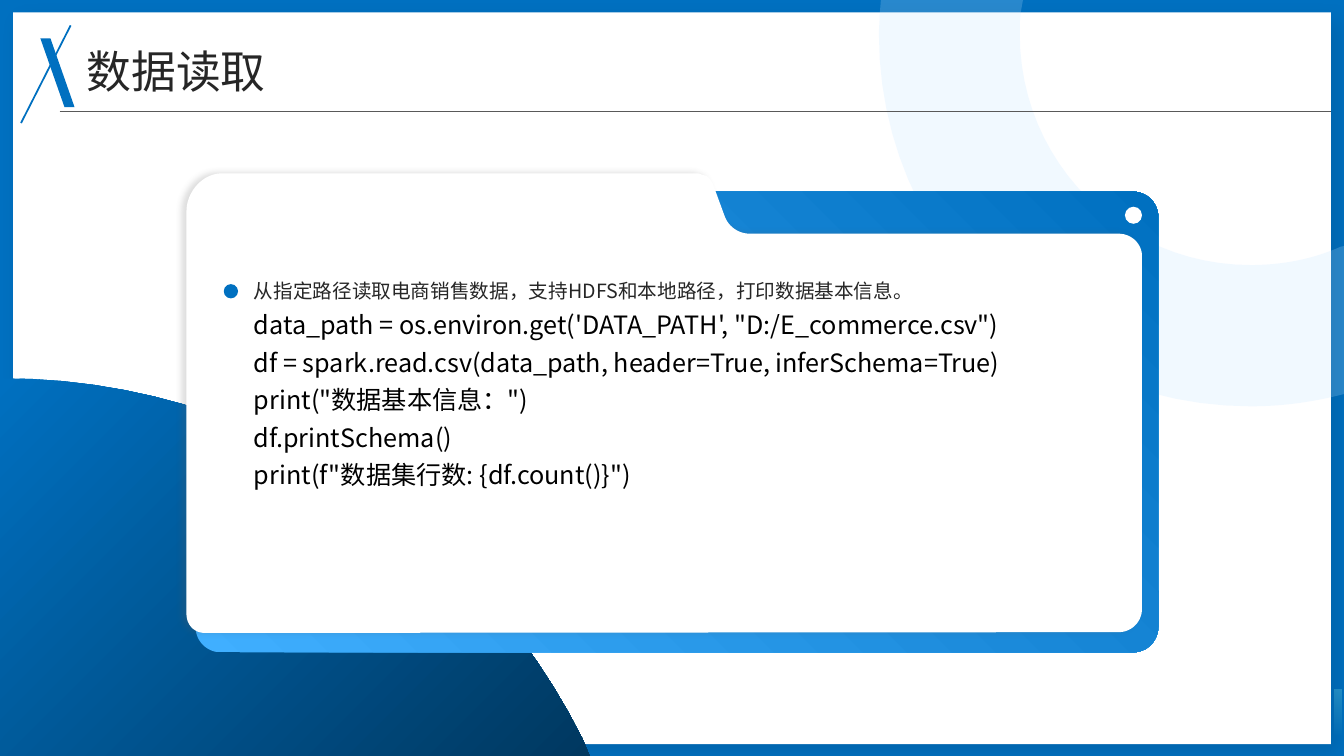
import pptx
import pptx.util
import pptx.dml.color
import pptx.enum.shapes
import pptx.enum.text
import pptx.oxml.ns
from lxml import etree

Cm, Pt = pptx.util.Cm, pptx.util.Pt
RGB = pptx.dml.color.RGBColor
KIND = pptx.enum.shapes.MSO_SHAPE
qn = pptx.oxml.ns.qn

BLUE = RGB(0x00, 0x70, 0xC0)
NAVY = RGB(0x00, 0x38, 0x60)
SKY = RGB(0x40, 0xAF, 0xFF)
PALE = RGB(0xBF, 0xE4, 0xFF)
AQUA = RGB(0x7A, 0xE8, 0xF0)
WHITE = RGB(0xFF, 0xFF, 0xFF)
BLACK = RGB(0x00, 0x00, 0x00)
INK = RGB(0x26, 0x26, 0x26)
GREY = RGB(0x59, 0x59, 0x59)

# Outlines in cm: pairs are corners, sixes are curves
RING = [(31.52, 10.24), (32.33, 10.24, 33.1, 10.13, 33.87, 9.93),
        (33.87, 6.2), (33.78, 6.22),
        (33.1, 6.53, 32.31, 6.68, 31.52, 6.68),
        (28.3, 6.68, 25.7, 4.09, 25.7, 0.86),
        (25.7, 0.66, 25.7, 0.48, 25.73, 0.28),
        (25.78, 0), (22.2, 0), (22.17, 0.38),
        (22.17, 0.56, 22.15, 0.71, 22.15, 0.86),
        (22.15, 6.05, 26.34, 10.24, 31.52, 10.24)]
HILL = [(0, 9.53), (6.43, 9.53, 11.99, 13.23, 14.68, 18.62),
        (14.86, 19.05), (0, 19.05)]
CARD = [(5.59, 4.37), (17.6, 4.37), (17.75, 4.42),
        (17.8, 4.42, 17.85, 4.47, 17.88, 4.5),
        (17.96, 4.62), (18.26, 5.44),
        (18.36, 5.72, 18.62, 5.89, 18.9, 5.89),
        (28.19, 5.89), (28.52, 5.89, 28.78, 6.15, 28.78, 6.45),
        (28.78, 15.34), (28.78, 15.67, 28.52, 15.93, 28.19, 15.93),
        (5.16, 15.95), (4.9, 15.95, 4.7, 15.75, 4.7, 15.47),
        (4.7, 5.33), (4.7, 4.83, 5.11, 4.37, 5.59, 4.37)]

CODE = ['data_path = os.environ.get(\'DATA_PATH\', "D:/E_commerce.csv")',
        'df = spark.read.csv(data_path, header=True, inferSchema=True)',
        'print("数据基本信息：")',
        'df.printSchema()',
        'print(f"数据集行数: {df.count()}")']


def trace(path, steps=24):
    """Turn corners and curves into a list of points."""
    pts = [path[0]]
    for seg in path[1:]:
        if len(seg) == 2:
            pts.append(seg)
            continue
        knots = [pts[-1], seg[:2], seg[2:4], seg[4:]]
        for i in range(1, steps + 1):
            t = i / steps
            u = 1 - t
            wts = (u ** 3, 3 * u * u * t, 3 * u * t * t, t ** 3)
            pts.append(tuple(sum(w * k[a] for w, k in zip(wts, knots))
                             for a in (0, 1)))
    return pts


class Deck:
    font = "Noto Sans CJK SC"

    def __init__(self):
        self.prs = pptx.Presentation()
        self.prs.slide_width = Cm(33.87)
        self.prs.slide_height = Cm(19.05)
        self.slide = self.prs.slides.add_slide(self.prs.slide_layouts[6])
        self.shapes = self.slide.shapes

    def paint(self, shape, fill, turn=0, alpha=None):
        """Fill with one colour, or a pair as a gradient; alpha in percent."""
        shape.shadow.inherit = False
        if isinstance(fill, list):
            shape.fill.gradient()
            shape.fill.gradient_angle = turn
            for stop, color in zip(shape.fill.gradient_stops, fill):
                stop.color.rgb = color
        else:
            shape.fill.solid()
            shape.fill.fore_color.rgb = fill
        tags = list(shape._element.spPr.iter(qn("a:srgbClr")))
        for tag, part in zip(tags, alpha or []):
            etree.SubElement(tag, qn("a:alpha"), val=str(part * 1000))
        shape.line.fill.background()
        return shape

    def box(self, kind, x, y, w, h, fill, adj=None, **look):
        shape = self.shapes.add_shape(kind, Cm(x), Cm(y), Cm(w), Cm(h))
        if adj is not None:
            shape.adjustments[0] = adj
        return self.paint(shape, fill, **look)

    def free(self, path, fill, **look):
        pts = [(Cm(x), Cm(y)) for x, y in trace(path)]
        form = self.shapes.build_freeform(*pts[0], scale=1.0)
        form.add_line_segments(pts[1:], close=True)
        return self.paint(form.convert_to_shape(), fill, **look)

    def shade(self, shape, color, alpha, blur, dist, turn):
        fx = shape._element.spPr.find(qn("a:effectLst"))
        out = etree.SubElement(fx, qn("a:outerShdw"), blurRad=str(Pt(blur)),
                               dist=str(Pt(dist)), dir=str(turn * 60000),
                               algn="ctr", rotWithShape="0")
        tint = etree.SubElement(out, qn("a:srgbClr"), val=str(color))
        etree.SubElement(tint, qn("a:alpha"), val=str(alpha * 1000))

    def line(self, x1, y1, x2, y2, color, width):
        rule = self.shapes.add_connector(
            pptx.enum.shapes.MSO_CONNECTOR.STRAIGHT,
            Cm(x1), Cm(y1), Cm(x2), Cm(y2))
        rule.line.color.rgb = color
        rule.line.width = Pt(width)
        etree.SubElement(rule._element.spPr, qn("a:effectLst"))

    def text(self, x, y, w, h, rows, gap, **frame):
        """Rows are (words, size, colour)."""
        body = self.shapes.add_textbox(Cm(x), Cm(y), Cm(w), Cm(h)).text_frame
        for name, value in {"word_wrap": True, **frame}.items():
            setattr(body, name, value)
        for i, (words, size, color) in enumerate(rows):
            para = body.add_paragraph() if i else body.paragraphs[0]
            para.line_spacing = gap
            run = para.add_run()
            run.text = words
            for name, value in {"size": Pt(size), "name": self.font}.items():
                setattr(run.font, name, value)
            run.font.color.rgb = color
            etree.SubElement(run.font._element, qn("a:ea"),
                             typeface=self.font)


def main():
    deck = Deck()

    # Blue frame, faint bar and white page
    deck.box(KIND.RECTANGLE, 0, 0, 33.87, 19.05, BLUE)
    deck.box(KIND.RECTANGLE, 33.63, 17.37, 0.18, 1.22, [AQUA, AQUA],
             turn=270, alpha=[30, 0])
    page = deck.box(KIND.RECTANGLE, 0.33, 0.31, 33.21, 18.44, WHITE)
    deck.shade(page, BLACK, 10, 15, 10, 45)

    # Corner shapes
    deck.free(RING, PALE, alpha=[21])
    deck.free(HILL, [BLUE, NAVY], turn=315)

    # Folder with its card
    deck.box(KIND.ROUNDED_RECTANGLE, 4.93, 4.83, 24.26, 11.61, [SKY, BLUE],
             adj=0.055, turn=45)
    deck.box(KIND.OVAL, 28.35, 5.21, 0.43, 0.43, WHITE)
    card = deck.free(CARD, WHITE)
    deck.shade(card, GREY, 20, 4, 3, 180)

    # Card text
    deck.box(KIND.OVAL, 5.64, 7.16, 0.36, 0.36, BLUE)
    lead = "从指定路径读取电商销售数据，支持HDFS和本地路径，打印数据基本信息。"
    deck.text(6.15, 6.76, 21.59, 7.49,
              [(lead, 14, INK)] + [(row, 18, BLACK) for row in CODE], 1.24)

    # Title and its mark
    deck.text(2.18, 1.12, 29.82, 1.19, [("数据读取", 32, INK)], 1.1,
              vertical_anchor=pptx.enum.text.MSO_ANCHOR.MIDDLE,
              margin_left=0, margin_right=0, margin_top=0, margin_bottom=0)
    mark = deck.box(KIND.PARALLELOGRAM, 1.02, 0.97, 0.86, 1.73, BLUE,
                    adj=0.705)
    mark._element.spPr.xfrm.set("flipH", "1")
    deck.line(1.78, 0.64, 0.53, 3.1, BLUE, 1.25)
    deck.line(1.5, 2.82, 33.54, 2.82, GREY, 0.75)

    deck.prs.save("out.pptx")


if __name__ == "__main__":
    main()
